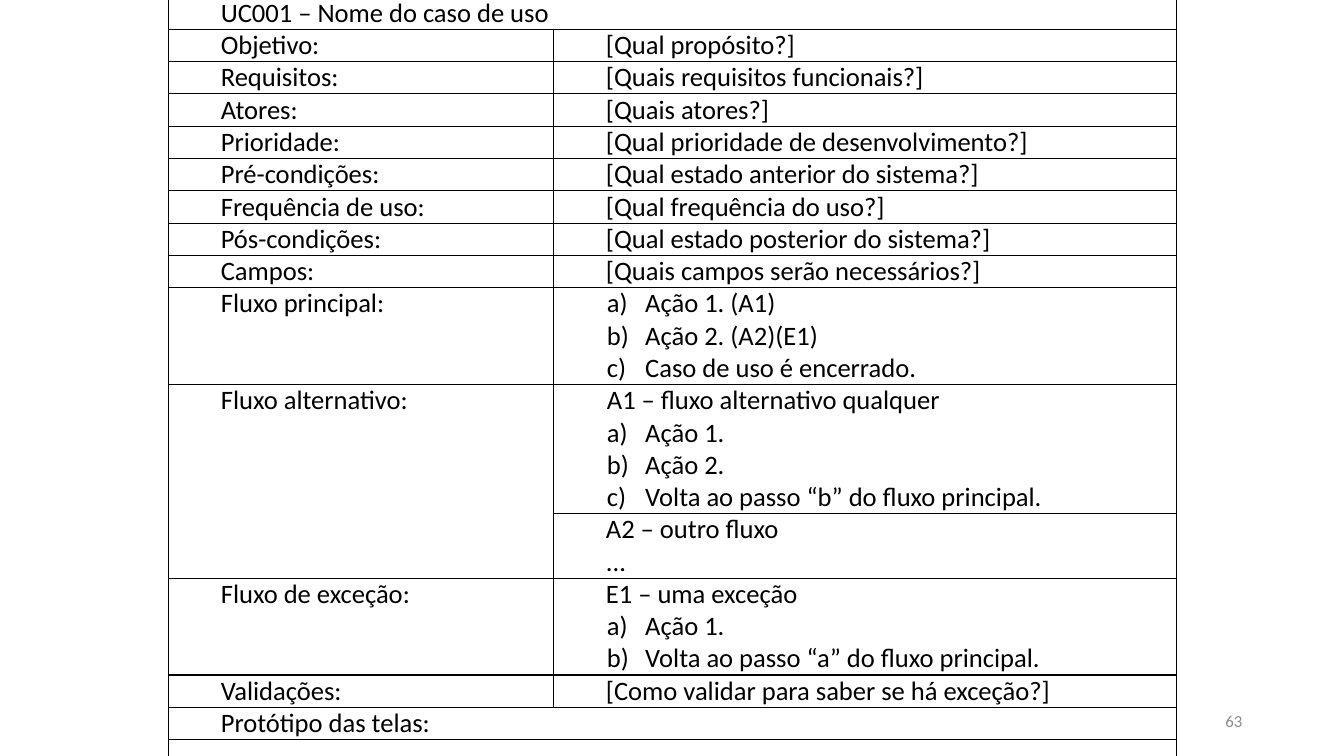
from dataclasses import dataclass

from lxml.etree import SubElement
from pptx import Presentation
from pptx.dml.color import RGBColor
from pptx.enum.text import MSO_ANCHOR as Anchor, PP_ALIGN as Align
from pptx.oxml import parse_xml
from pptx.oxml.ns import nsdecls, qn
from pptx.slide import Slide
from pptx.table import Table, _Cell as Cell
from pptx.text.text import _Paragraph as Paragraph
from pptx.util import Inches, Pt


@dataclass(frozen=True)
class Theme:
    font: str = "Calibri"
    ink: str = "000000"
    muted: str = "8C8C8C"
    table_size: int = 19
    number_size: int = 12
    border: int = 1


@dataclass(frozen=True)
class Line:
    text: str
    margin: float = 0
    indent: float = 0.49
    level: int = 0
    lettered: bool = False


@dataclass(frozen=True)
class Row:
    label: str
    lines: tuple[Line, ...] = ()
    full_width: bool = False
    height: float = 0


THEME = Theme()
LINE_HEIGHT = 0.32


def steps(*texts: str) -> tuple[Line, ...]:
    """Return lettered steps of a flow."""
    return tuple(Line(text, 0.88, -0.38, 1, True) for text in texts)


def field(label: str, answer: str) -> Row:
    """Return a row with a single-line answer."""
    return Row(label, (Line(answer),))


ROWS = (
    Row("UC001 – Nome do caso de uso", full_width=True),
    field("Objetivo:", "[Qual propósito?]"),
    field("Requisitos:", "[Quais requisitos funcionais?]"),
    field("Atores:", "[Quais atores?]"),
    field("Prioridade:", "[Qual prioridade de desenvolvimento?]"),
    field("Pré-condições:", "[Qual estado anterior do sistema?]"),
    field("Frequência de uso:", "[Qual frequência do uso?]"),
    field("Pós-condições:", "[Qual estado posterior do sistema?]"),
    field("Campos:", "[Quais campos serão necessários?]"),
    Row("Fluxo principal:",
        steps("Ação 1. (A1)", "Ação 2. (A2)(E1)", "Caso de uso é encerrado.")),
    Row("Fluxo alternativo:",
        (Line("A1 – fluxo alternativo qualquer", 0.5, 0, 1),
         *steps("Ação 1.", "Ação 2.", "Volta ao passo “b” do fluxo principal."))),
    Row("", (Line("A2 – outro fluxo"), Line("..."))),
    Row("Fluxo de exceção:",
        (Line("E1 – uma exceção"),
         *steps("Ação 1.", "Volta ao passo “a” do fluxo principal."))),
    field("Validações:", "[Como validar para saber se há exceção?]"),
    Row("Protótipo das telas:", full_width=True),
    Row("", full_width=True, height=0.27),
)


def style_font(para: Paragraph, size: int, color: str) -> None:
    """Set the font of a whole paragraph."""
    para.font.name = THEME.font
    para.font.size = Pt(size)
    para.font.color.rgb = RGBColor.from_string(color)


def style_cell(cell: Cell) -> None:
    """Give a cell narrow margins, no fill and four borders."""
    cell.margin_left = cell.margin_right = Inches(0.03)
    cell.margin_top = cell.margin_bottom = 0
    cell.vertical_anchor = Anchor.TOP
    cell.fill.background()
    properties = cell._tc.get_or_add_tcPr()
    for position, side in enumerate(("lnL", "lnR", "lnT", "lnB")):
        properties.insert(position, parse_xml(
            f'<a:{side} {nsdecls("a")} w="{Pt(THEME.border)}"><a:solidFill>'
            f'<a:srgbClr val="{THEME.ink}"/></a:solidFill></a:{side}>'))


def write_cell(cell: Cell, lines: tuple[Line, ...]) -> None:
    """Write indented or lettered lines into a cell."""
    frame = cell.text_frame
    for index, line in enumerate(lines):
        para = frame.add_paragraph() if index else frame.paragraphs[0]
        para.text = line.text
        para.alignment = Align.JUSTIFY
        para.level = line.level
        properties = para._p.get_or_add_pPr()
        properties.set("marL", str(Inches(line.margin)))
        properties.set("indent", str(Inches(line.indent)))
        if line.lettered:
            SubElement(properties, qn("a:buAutoNum"), type="alphaLcParenR")
        else:
            SubElement(properties, qn("a:buNone"))
        style_font(para, THEME.table_size, THEME.ink)


def fill_row(table: Table, index: int, row: Row) -> None:
    """Fill one row of the use case table."""
    height = row.height or LINE_HEIGHT * max(1, len(row.lines))
    table.rows[index].height = Inches(height)
    label, answer = table.cell(index, 0), table.cell(index, 1)
    for cell in (label, answer):
        style_cell(cell)
    if row.full_width:
        label.merge(answer)
    if row.label:
        write_cell(label, (Line(row.label),))
    elif row.full_width:
        style_font(label.text_frame.paragraphs[0], THEME.number_size, THEME.ink)
    else:
        table.cell(index - 1, 0).merge(label)
    write_cell(answer, row.lines)


def add_use_case(page: Slide) -> None:
    """Add the use case table."""
    table = page.shapes.add_table(
        len(ROWS), 2, Inches(1.67), Inches(-0.03), Inches(10), Inches(7.6)).table
    table.first_row = table.horz_banding = False
    for column, width in zip(table.columns, (3.82, 6.18)):
        column.width = Inches(width)
    for index, row in enumerate(ROWS):
        fill_row(table, index, row)


def add_page_number(page: Slide, number: str) -> None:
    """Add the page number at the lower right."""
    box = page.shapes.add_textbox(Inches(9.42), Inches(6.95), Inches(3), Inches(0.4))
    frame = box.text_frame
    frame.word_wrap = True
    frame.vertical_anchor = Anchor.MIDDLE
    para = frame.paragraphs[0]
    para.text = number
    para.alignment = Align.RIGHT
    style_font(para, THEME.number_size, THEME.muted)


def main() -> None:
    """Build and save the deck."""
    deck = Presentation()
    deck.slide_width, deck.slide_height = Inches(13.33), Inches(7.5)
    page = deck.slides.add_slide(deck.slide_layouts[6])
    add_use_case(page)
    add_page_number(page, "63")
    deck.save("out.pptx")


if __name__ == "__main__":
    main()
